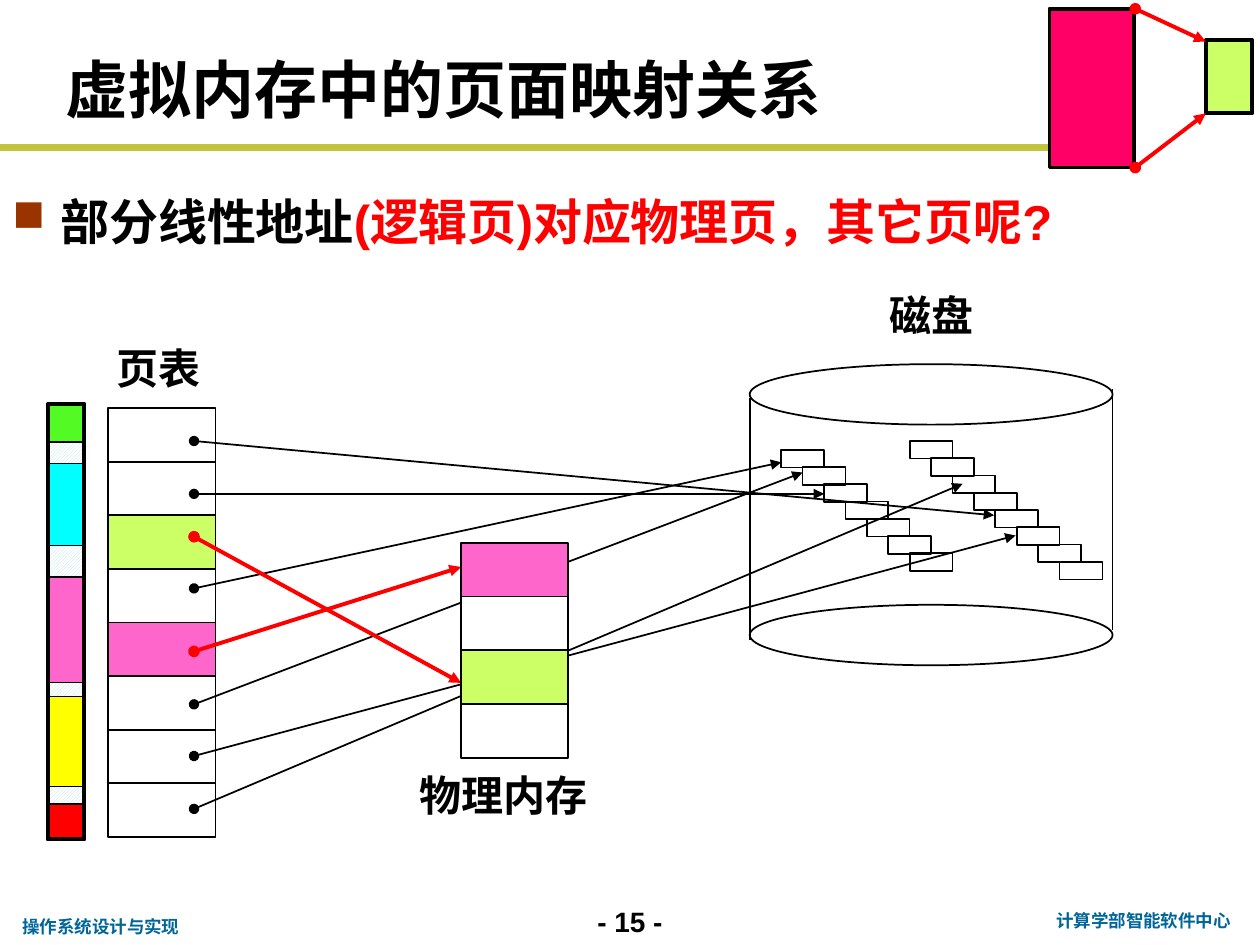
"""Build a slide showing how pages map to physical memory and disk."""
from pptx import Presentation
from pptx.dml.color import RGBColor
from pptx.enum.dml import MSO_PATTERN
from pptx.enum.shapes import MSO_CONNECTOR, MSO_SHAPE
from pptx.enum.text import MSO_ANCHOR, PP_ALIGN
from pptx.oxml.ns import qn
from pptx.util import Inches, Pt
from lxml.etree import SubElement

BLACK = RGBColor(0x00, 0x00, 0x00)
WHITE = RGBColor(0xFF, 0xFF, 0xFF)
RED = RGBColor(0xFF, 0x00, 0x00)
LIME = RGBColor(0xCC, 0xFF, 0x66)
PINK = RGBColor(0xFF, 0x66, 0xCC)
CRIMSON = RGBColor(0xFF, 0x00, 0x66)
CYAN = RGBColor(0x00, 0xFF, 0xFF)
YELLOW = RGBColor(0xFF, 0xFF, 0x00)
GREEN = RGBColor(0x53, 0xFB, 0x25)
OLIVE = RGBColor(0xC1, 0xC4, 0x3C)
BLUE = RGBColor(0x00, 0x66, 0x99)
HATCH = RGBColor(0xBB, 0xE0, 0xE3)

deck = Presentation()
deck.slide_width, deck.slide_height = Inches(10), Inches(7.5)
page = deck.slides.add_slide(deck.slide_layouts[6])


def add_block(left, top, width, height, fill=None, weight=1, kind=MSO_SHAPE.RECTANGLE):
    block = page.shapes.add_shape(
        kind, Inches(left), Inches(top), Inches(width), Inches(height))
    block.shadow.inherit = False
    if fill is None:
        block.fill.background()
    else:
        block.fill.solid()
        block.fill.fore_color.rgb = fill
    block.line.color.rgb = BLACK
    block.line.width = Pt(weight)
    return block


def add_line(start, end, color=BLACK, weight=1, arrow=True):
    line = page.shapes.add_connector(
        MSO_CONNECTOR.STRAIGHT, *[Inches(value) for value in (*start, *end)])
    line.line.color.rgb = color
    line.line.width = Pt(weight)
    properties = line._element.spPr
    if arrow:
        outline = properties.find(qn("a:ln"))
        SubElement(outline, qn("a:headEnd"), type="oval")
        SubElement(outline, qn("a:tailEnd"), type="triangle")
    SubElement(properties, qn("a:effectLst"))


add_line((0, 1.17), (8.78, 1.17), OLIVE, 4, arrow=False)

for top in (2.89, 4.8):
    add_block(5.95, top, 2.88, 0.48, kind=MSO_SHAPE.OVAL)
add_line((5.95, 3.16), (5.95, 5.08), arrow=False)
add_line((8.83, 3.09), (8.83, 5), arrow=False)
for left, top, count in ((6.2, 3.57, 7), (7.22, 3.5, 8)):
    for index in range(count):
        add_block(left + 0.17 * index, top + 0.137 * index, 0.34, 0.14)

table_fills = {2: LIME, 4: PINK}
for row in range(8):
    add_block(0.86, 3.24 + 0.425 * row, 0.85, 0.43, table_fills.get(row))

disk_links = [
    (3.5, (7.89, 4.09)), (3.92, (6.54, 3.92)), (4.67, (6.2, 3.67)),
    (5.59, (6.37, 3.75)), (6, (8.06, 4.25)), (6.42, (7.64, 3.84)),
]
for top, target in disk_links:
    add_line((1.54, top), target)
for top, target in ((5.17, 4.5), (4.26, 5.42)):
    add_line((1.54, top), (3.66, target), RED, 2.25)

for row, fill in enumerate((PINK, WHITE, LIME, None)):
    add_block(3.66, 4.31 + 0.425 * row, 0.85, 0.43, fill)

add_block(9.57, 0.32, 0.37, 0.58, LIME, 2.25)
add_block(8.33, 0.07, 0.67, 1.26, CRIMSON, 2.25)
for top, target in ((0.07, 0.33), (1.33, 0.9)):
    add_line((9.01, top), (9.57, target), RED, 2.25)

address_space = add_block(0.38, 3.21, 0.29, 3.45, weight=2.25)
address_space.fill.patterned()
address_space.fill.pattern = MSO_PATTERN.LIGHT_UPWARD_DIAGONAL
address_space.fill.fore_color.rgb = HATCH
address_space.fill.back_color.rgb = WHITE
segments = [
    (3.21, 0.3, GREEN), (3.68, 0.65, CYAN), (4.58, 0.84, PINK),
    (5.53, 0.71, YELLOW), (6.38, 0.28, RED),
]
for top, height, fill in segments:
    add_block(0.38, top, 0.29, height, fill, 0.75)
add_block(0.38, 3.21, 0.29, 3.45, weight=2.25)

texts = [
    ("虚拟内存中的页面映射关系", 0.42, 0.33, 9, 0.74, 36, "Arial", BLACK, PP_ALIGN.LEFT),
    ("磁盘", 6.96, 2.25, 0.87, 0.5, 24, "Comic Neue", BLACK, PP_ALIGN.LEFT),
    ("页表", 0.83, 2.67, 0.88, 0.5, 24, "Comic Neue", BLACK, PP_ALIGN.LEFT),
    ("物理内存", 3.23, 6.06, 1.54, 0.5, 24, "Comic Neue", BLACK, PP_ALIGN.LEFT),
    ("操作系统设计与实现", 0.08, 7.22, 1.46, 0.27, 10, "Arial", BLUE, PP_ALIGN.LEFT),
    ("- 15 -", 4.5, 7.13, 1, 0.37, 16, "Arial", BLACK, PP_ALIGN.CENTER),
    ("计算学部智能软件中心", 8.25, 7.17, 1.65, 0.27, 10, "Arial", BLUE, PP_ALIGN.CENTER),
]
for words, left, top, width, height, size, font, color, align in texts:
    box = page.shapes.add_textbox(Inches(left), Inches(top), Inches(width), Inches(height))
    box.text_frame.word_wrap = width > 2
    box.text_frame.vertical_anchor = MSO_ANCHOR.MIDDLE
    para = box.text_frame.paragraphs[0]
    para.text = words
    para.alignment = align
    para.font.size = Pt(size)
    para.font.name = font
    para.font.bold = True
    para.font.color.rgb = color

box = page.shapes.add_textbox(Inches(0), Inches(1.33), Inches(10), Inches(0.95))
box.text_frame.word_wrap = True
para = box.text_frame.paragraphs[0]
para.line_spacing = 1.3
para.font.size = Pt(28)
para.font.name = "Arial"
para.font.bold = True
for words, color in (("部分线性地址", BLACK), ("(逻辑页)对应物理页，其它页呢?", RED)):
    span = para.add_run()
    span.text = words
    span.font.color.rgb = color
layout = para._p.get_or_add_pPr()
layout.set("marL", str(Inches(0.38)))
layout.set("indent", str(Inches(-0.38)))
bullet_color = SubElement(layout, qn("a:buClr"))
SubElement(bullet_color, qn("a:srgbClr"), val="993300")
SubElement(layout, qn("a:buSzPct"), val="90000")
SubElement(layout, qn("a:buChar"), char="■")
layout.append(layout.find(qn("a:defRPr")))

deck.save("out.pptx")
